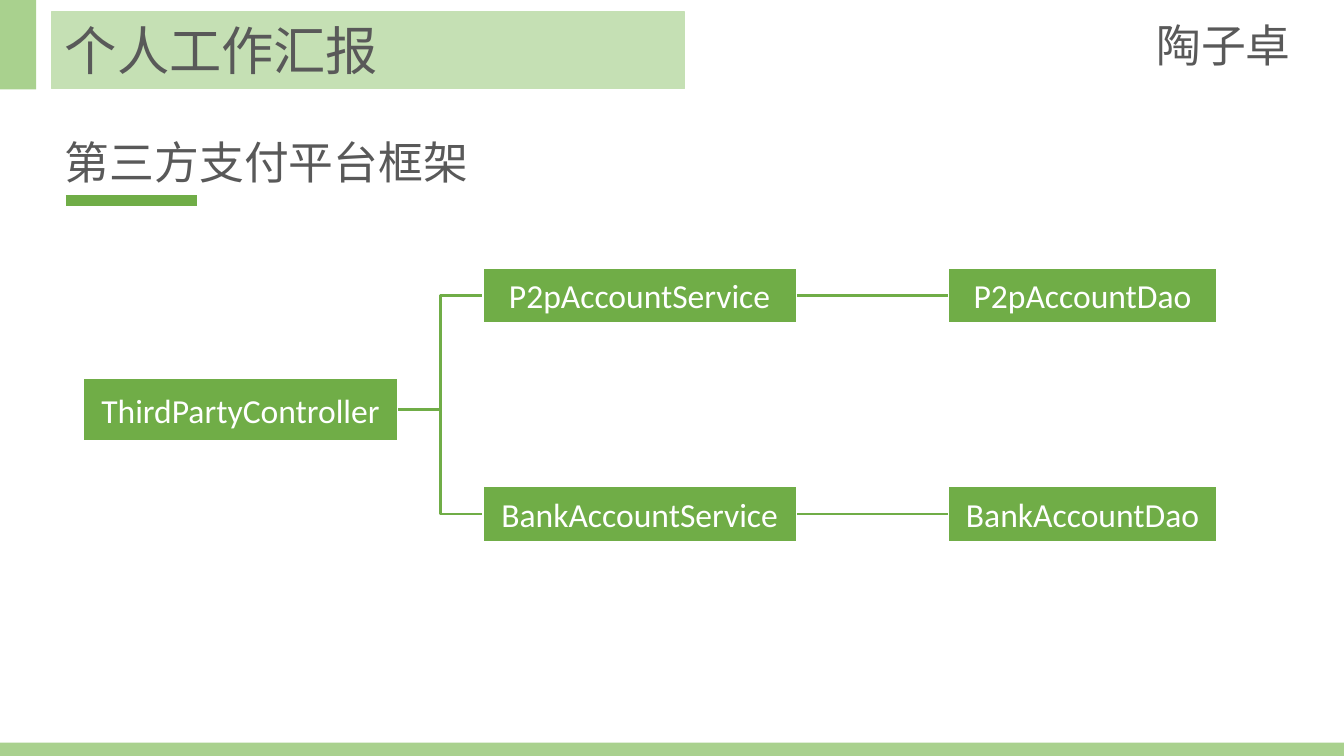
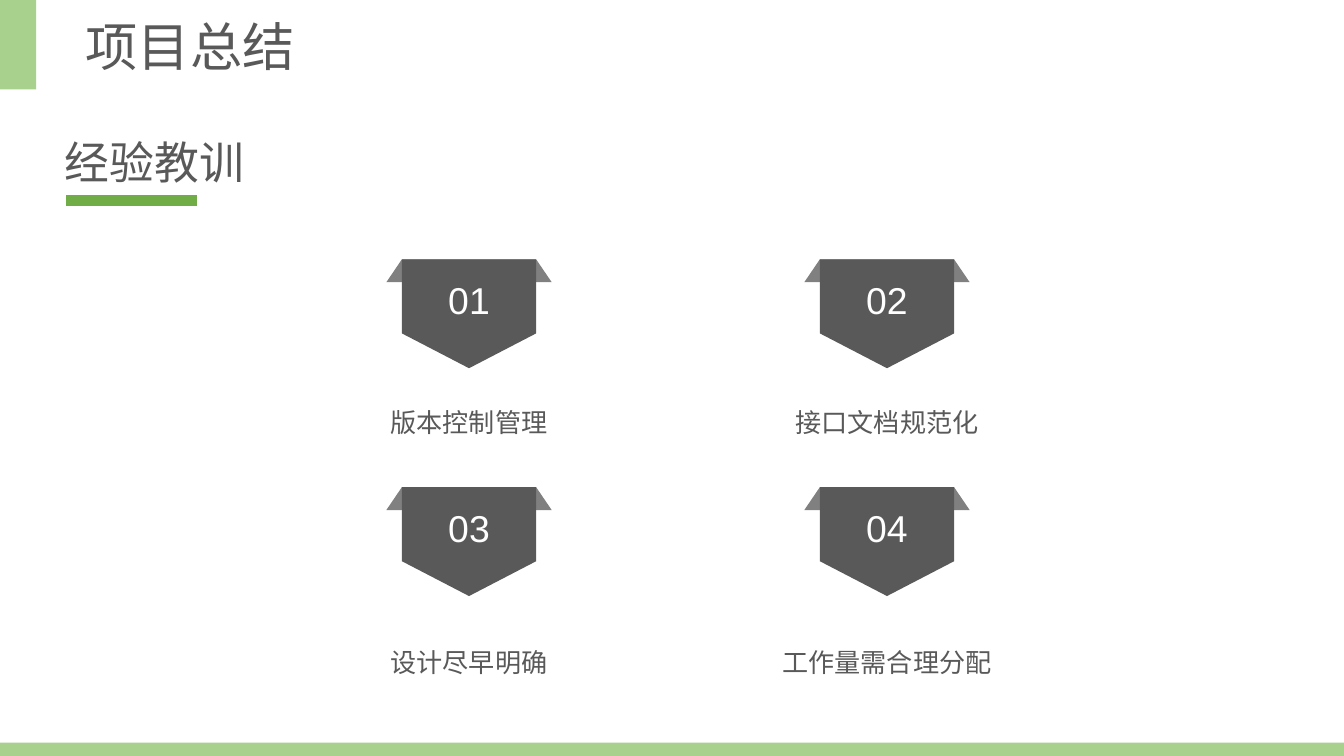
import lxml.etree
import pptx
import pptx.dml.color
import pptx.enum.shapes
import pptx.enum.text
import pptx.oxml.ns
import pptx.util

COLOURS = {
    "band": "A9D18E", "title_band": "C5E0B4", "accent": "70AD47",
    "text": "595959", "fold": "808080", "white": "FFFFFF", "number": "FEFEFE",
}
TITLE_FONT, HEADING_FONT, BODY_FONT = "Noto Sans CJK SC", "Arial", "Calibri"
RECTANGLE = pptx.enum.shapes.MSO_SHAPE.RECTANGLE
TRAPEZOID = pptx.enum.shapes.MSO_SHAPE.TRAPEZOID
STRAIGHT = pptx.enum.shapes.MSO_CONNECTOR.STRAIGHT
ELBOW = pptx.enum.shapes.MSO_CONNECTOR.ELBOW
LEFT = pptx.enum.text.PP_ALIGN.LEFT
CENTER = pptx.enum.text.PP_ALIGN.CENTER
TOP = pptx.enum.text.MSO_ANCHOR.TOP
MIDDLE = pptx.enum.text.MSO_ANCHOR.MIDDLE

# The grid: 100 columns by 56.25 rows of square cells, a 16:9 slide
COLUMNS, ROWS = 100, 56.25
CELL = pptx.util.Inches(0.1)

presentation = pptx.Presentation()
presentation.slide_width = CELL * COLUMNS
presentation.slide_height = int(CELL * ROWS)
blank_layout = presentation.slide_layouts[6]


def add_box(shapes, outline, area, text="", size=18, font=BODY_FONT, colour="text",
            fill=None, border=None, border_width=0.75, align=LEFT, anchor=TOP, grow=False):
    """Outline is a preset, a list of corners as shares of the area, or None for a text box."""
    left, top, width, height = [round(CELL * length) for length in area]
    if outline is None:
        shape = shapes.add_textbox(left, top, width, height)
    elif isinstance(outline, list):
        corners = [(left + round(width * x), top + round(height * y)) for x, y in outline]
        builder = shapes.build_freeform(*corners[0])
        builder.add_line_segments(corners[1:], close=True)
        shape = builder.convert_to_shape()
    else:
        shape = shapes.add_shape(outline, left, top, width, height)
    if fill:
        shape.shadow.inherit = False
        shape.fill.solid()
        shape.fill.fore_color.rgb = pptx.dml.color.RGBColor.from_string(COLOURS[fill])
        if border:
            shape.line.color.rgb = pptx.dml.color.RGBColor.from_string(COLOURS[border])
            shape.line.width = pptx.util.Pt(border_width)
        else:
            shape.line.fill.background()
    if text:
        frame = shape.text_frame
        frame.text = text
        frame.word_wrap = True
        frame.vertical_anchor = anchor
        if grow:
            frame.auto_size = pptx.enum.text.MSO_AUTO_SIZE.SHAPE_TO_FIT_TEXT
        paragraph = frame.paragraphs[0]
        paragraph.alignment = align
        run = paragraph.runs[0]
        run.font.name = font
        run.font.size = pptx.util.Pt(size)
        run.font.color.rgb = pptx.dml.color.RGBColor.from_string(COLOURS[colour])
    return shape


def add_line(shapes, kind, start, end, width):
    connector = shapes.add_connector(kind, *start, *end)
    connector.line.color.rgb = pptx.dml.color.RGBColor.from_string(COLOURS["accent"])
    connector.line.width = pptx.util.Pt(width)
    lxml.etree.SubElement(connector.element.spPr, pptx.oxml.ns.qn("a:effectLst"))
    return connector


# Both slides: heading with its underline
slides = []
for heading in ("第三方支付平台框架", "经验教训"):
    slide = presentation.slides.add_slide(blank_layout)
    add_box(slide.shapes, None, (3.85, 9.55, 77.3, 5), heading, 24, HEADING_FONT, grow=True)
    underline_row = round(CELL * 14.9)
    add_line(slide.shapes, STRAIGHT, (round(CELL * 4.9), underline_row),
             (round(CELL * 14.65), underline_row), 6)
    slides.append(slide)
framework_slide, lessons_slide = slides

# Corner block and footer band, moved to the layout
for area in ((0, 0, 2.7, 6.65), (0, ROWS - 1, COLUMNS, 1)):
    band = add_box(framework_slide.shapes, RECTANGLE, area, fill="band")
    blank_layout.shapes.element.append(band.element)

# Slide 1: title band and presenter
add_box(framework_slide.shapes, RECTANGLE, (3.85, 0.9, 47.1, 5.7), "个人工作汇报", 28, TITLE_FONT,
        fill="title_band", border="title_band", grow=True)
add_box(framework_slide.shapes, None, (85.05, 0.8, 12.1, 5), "陶子卓", 24, HEADING_FONT, grow=True)

# Slide 1: class diagram
diagram = framework_slide.shapes.add_group_shape().shapes
class_areas = {
    "ThirdPartyController": (6.15, 28.1, 23.5, 4.75),
    "P2pAccountService": (35.9, 19.9, 23.4, 4.15),
    "BankAccountService": (35.9, 36.15, 23.4, 4.2),
    "P2pAccountDao": (70.5, 19.9, 20.1, 4.15),
    "BankAccountDao": (70.5, 36.15, 20.1, 4.2),
}
classes = {
    name: add_box(diagram, RECTANGLE, area, name, colour="white", fill="accent",
                  border="white", border_width=1.5, align=CENTER, anchor=MIDDLE)
    for name, area in class_areas.items()
}
for caller, callee, kind in (
    ("ThirdPartyController", "P2pAccountService", ELBOW),
    ("ThirdPartyController", "BankAccountService", ELBOW),
    ("P2pAccountService", "P2pAccountDao", STRAIGHT),
    ("BankAccountService", "BankAccountDao", STRAIGHT),
):
    source, target = classes[caller], classes[callee]
    connector = add_line(diagram, kind,
                         (source.left + source.width, source.top + source.height // 2),
                         (target.left, target.top + target.height // 2), 1.5)
    connector.begin_connect(source, 3)
    connector.end_connect(target, 1)

# Slide 2: title
add_box(lessons_slide.shapes, None, (5.4, 0.6, 47.1, 5.7), "项目总结", 28, TITLE_FONT, grow=True)

# Slide 2: numbered pennants, two by two, each with a label below
PENNANT = [(0, 0), (1, 0), (1, 0.68), (0.5, 1), (0, 0.68)]
lessons = (("版本控制管理", 14.6), ("接口文档规范化", 17),
           ("设计尽早明确", 15.2), ("工作量需合理分配", 19.7))
for index, (lesson, label_width) in enumerate(lessons):
    row, column = divmod(index, 2)
    center = 34.9 + 31.1 * column
    top = 19.3 + 16.95 * row
    badge = lessons_slide.shapes.add_group_shape().shapes
    fold = add_box(badge, TRAPEZOID, (center - 6.15, top, 12.3, 1.7), fill="fold")
    fold.adjustments[0] = 0.68
    pennant = add_box(badge, PENNANT, (center - 5, top, 10, 8.1), f"{index + 1:02}", 20,
                      HEADING_FONT, "number", fill="text", align=CENTER, anchor=MIDDLE)
    frame = pennant.text_frame
    frame.margin_left = frame.margin_right = frame.margin_top = 0
    frame.margin_bottom = round(CELL * 2.1)
    label = add_box(lessons_slide.shapes, None,
                    (center - label_width / 2, 28.6 + 17.8 * row, label_width, 4.2),
                    lesson, 14, align=CENTER, grow=True)
    label.text_frame.paragraphs[0].line_spacing = 1.5

presentation.save("out.pptx")
